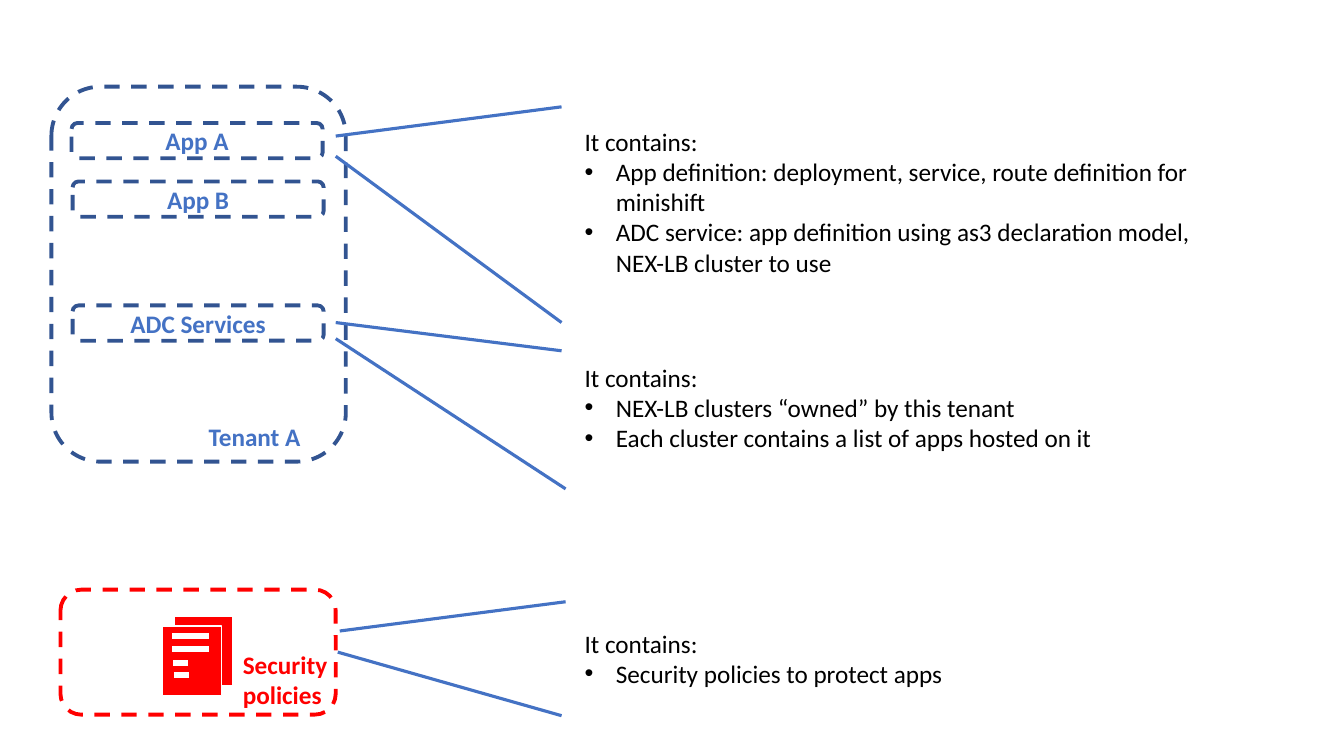
"""Build a slide on what a tenant, its apps and its security policies contain."""
from lxml.etree import SubElement
from pptx import Presentation
from pptx.dml.color import RGBColor
from pptx.enum.dml import MSO_LINE_DASH_STYLE as Dash
from pptx.enum.shapes import MSO_CONNECTOR as Connector, MSO_SHAPE as Shape
from pptx.enum.text import MSO_ANCHOR as Anchor, MSO_AUTO_SIZE as AutoSize, PP_ALIGN as Align
from pptx.oxml.ns import qn
from pptx.util import Inches, Pt

NAVY = RGBColor(0x32, 0x54, 0x91)
BLUE = RGBColor(0x44, 0x72, 0xC4)
RED = RGBColor(0xFF, 0x00, 0x00)
WHITE = RGBColor(0xFF, 0xFF, 0xFF)
BLACK = RGBColor(0x00, 0x00, 0x00)


class TenantSlide:
    font_name = "Calibri"
    font_size = Pt(18)
    bullet_indent = Inches(0.31)

    def __init__(self, presentation):
        self.slide = presentation.slides.add_slide(presentation.slide_layouts[6])
        self.shapes = self.slide.shapes

    def start_group(self):
        self.shapes = self.slide.shapes.add_group_shape().shapes

    def end_group(self):
        self.shapes = self.slide.shapes

    def add_words(self, paragraph, text, color, bold=False):
        run = paragraph.add_run()
        run.text = text
        run.font.name, run.font.size = self.font_name, self.font_size
        run.font.bold = bold
        run.font.color.rgb = color

    def frame(self, box, color, text=None):
        outline = self.shapes.add_shape(Shape.ROUNDED_RECTANGLE, *map(Inches, box))
        outline.shadow.inherit = False
        outline.fill.background()
        outline.line.color.rgb = color
        outline.line.width = Pt(2.75)
        outline.line.dash_style = Dash.DASH
        if text:
            outline.text_frame.vertical_anchor = Anchor.MIDDLE
            paragraph = outline.text_frame.paragraphs[0]
            paragraph.alignment = Align.CENTER
            self.add_words(paragraph, text, BLUE, bold=True)

    def text_area(self, box):
        area = self.shapes.add_textbox(*map(Inches, box)).text_frame
        area.word_wrap = True
        area.auto_size = AutoSize.SHAPE_TO_FIT_TEXT
        return area

    def label(self, box, text, color):
        self.add_words(self.text_area(box).paragraphs[0], text, color, bold=True)

    def contents(self, top, height, items):
        area = self.text_area((5.7, top, 6.34, height))
        self.add_words(area.paragraphs[0], "It contains:", BLACK)
        for item in items:
            paragraph = area.add_paragraph()
            properties = paragraph._p.get_or_add_pPr()
            properties.set("marL", str(self.bullet_indent))
            properties.set("indent", str(-self.bullet_indent))
            SubElement(properties, qn("a:buFont"), typeface="Arial")
            SubElement(properties, qn("a:buChar"), char="•")
            self.add_words(paragraph, item, BLACK)

    def line(self, start, end, color=BLUE, width=2.25):
        ends = map(Inches, (*start, *end))
        connector = self.shapes.add_connector(Connector.STRAIGHT, *ends)
        connector.line.color.rgb = color
        connector.line.width = Pt(width)
        SubElement(connector._element.spPr, qn("a:effectLst"))

    def page(self, box):
        sheet = self.shapes.add_shape(Shape.RECTANGLE, *map(Inches, box))
        sheet.shadow.inherit = False
        sheet.fill.solid()
        sheet.fill.fore_color.rgb = RED
        sheet.line.color.rgb = WHITE
        sheet.line.width = Pt(1)

    def shield(self, center, right_half):
        left_half = [(2 * center - x, y) for x, y in reversed(right_half)]
        first, *rest = right_half + left_half
        builder = self.shapes.build_freeform(*first, scale=Inches(1))
        builder.add_line_segments(rest, close=True)
        badge = builder.convert_to_shape()
        badge.shadow.inherit = False
        badge.fill.solid()
        badge.fill.fore_color.rgb = WHITE
        badge.line.fill.background()


def main():
    presentation = Presentation()
    presentation.slide_width, presentation.slide_height = Inches(13.33), Inches(7.5)
    slide = TenantSlide(presentation)

    slide.frame((0.51, 0.86, 2.92, 3.72), NAVY)
    slide.frame((0.6, 5.85, 2.73, 1.24), RED)
    for name, left, top in (("App A", 0.71, 1.22), ("App B", 0.72, 1.8),
                            ("ADC Services", 0.72, 3.03)):
        slide.frame((left, top, 2.49, 0.35), NAVY, name)
    slide.label((1.97, 4.13, 1.28, 0.4), "Tenant A", BLUE)
    slide.label((2.31, 6.39, 1.12, 0.71), "Security policies", RED)

    slide.start_group()
    slide.page((1.73, 6.11, 0.58, 0.69))
    slide.page((1.61, 6.21, 0.59, 0.69))
    slide.shield(2.07, [(2.07, 6.54), (2.08, 6.54), (2.1, 6.57), (2.12, 6.58),
                        (2.15, 6.57), (2.17, 6.58), (2.17, 6.63), (2.16, 6.69),
                        (2.14, 6.76), (2.11, 6.82), (2.07, 6.85)])
    for left, right, y in ((1.71, 2.07, 6.31), (1.71, 2.07, 6.44),
                           (1.72, 1.86, 6.58), (1.73, 1.87, 6.7)):
        slide.line((left, y), (right, y), WHITE, 4.25)
    slide.end_group()

    for start, end in (((3.33, 1.35), (5.57, 1.06)), ((3.33, 1.55), (5.57, 3.2)),
                       ((3.33, 3.2), (5.57, 3.48)), ((3.33, 3.36), (5.61, 4.85)),
                       ((3.37, 6.26), (5.61, 5.97)), ((3.35, 6.47), (5.57, 7.1))):
        slide.line(start, end)

    slide.contents(1.2, 1.92, (
        "App definition: deployment, service, route definition for minishift",
        "ADC service: app definition using as3 declaration model, NEX-LB cluster to use"))
    slide.contents(3.54, 1.31, (
        "NEX-LB clusters “owned” by this tenant",
        "Each cluster contains a list of apps hosted on it"))
    slide.contents(6.18, 0.71, ("Security policies to protect apps",))

    presentation.save("out.pptx")


if __name__ == "__main__":
    main()
